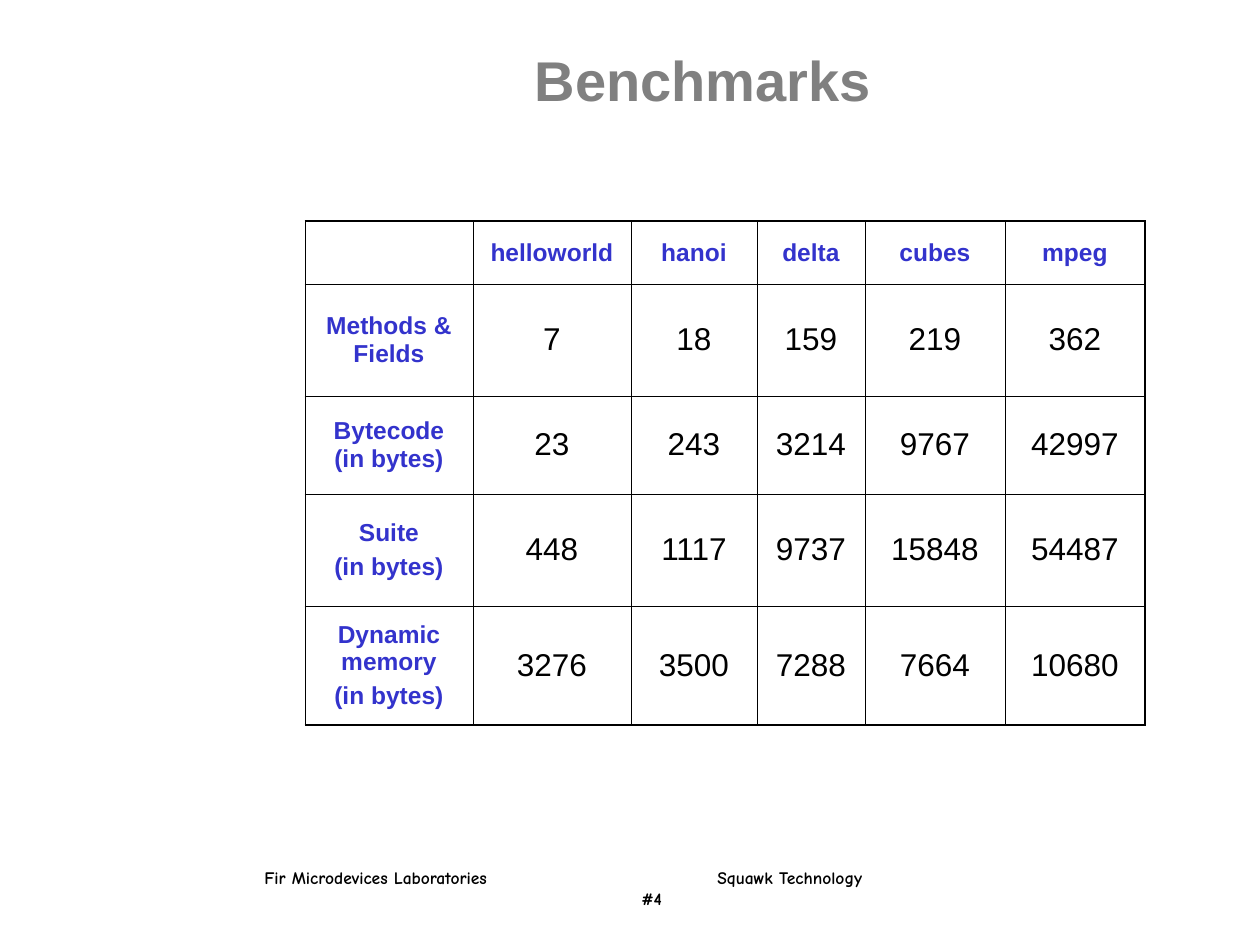
from lxml import etree
from pptx import Presentation
from pptx.dml.color import RGBColor
from pptx.enum.text import MSO_ANCHOR, PP_ALIGN
from pptx.oxml.ns import qn
from pptx.util import Pt

MIDDLE, TOP = MSO_ANCHOR.MIDDLE, MSO_ANCHOR.TOP
CENTER, LEFT = PP_ALIGN.CENTER, PP_ALIGN.LEFT
SCALE = 914400 / 126
THIN, THICK = 0.45, 1.08
TITLE = {"size": Pt(32), "name": "Arial", "bold": True, "color": "808080"}
LABEL = {"size": Pt(14), "name": "Arial", "bold": True, "color": "3333CC"}
VALUE = {"size": Pt(18), "name": "Arial", "bold": False, "color": "000000"}
FOOT = {"size": Pt(10), "name": "Comic Neue", "bold": True, "color": "000000"}
COLS = [168, 158, 126, 108, 140, 140]
ROWS = [63, 112, 98, 112, 119]
DATA = [
    ["", "helloworld", "hanoi", "delta", "cubes", "mpeg"],
    ["Methods & Fields", "7", "18", "159", "219", "362"],
    ["Bytecode (in bytes)", "23", "243", "3214", "9767", "42997"],
    ["Suite\n(in bytes)", "448", "1117", "9737", "15848", "54487"],
    ["Dynamic memory\n(in bytes)", "3276", "3500", "7288", "7664", "10680"],
]


def px(num):
    """Turn pixels into EMU."""
    return round(num * SCALE)


def paint(hue):
    """Turn a hex string into a colour."""
    return RGBColor.from_string(hue)


def style(font, form):
    """Set font attributes from a dict of format values."""
    for key, val in form.items():
        if key == "color":
            font.color.rgb = paint(val)
        else:
            setattr(font, key, val)


def write(frame, text, form, align):
    """Fill a text frame with one paragraph per line of text."""
    frame.text = text
    for num, para in enumerate(frame.paragraphs):
        para.alignment = align
        para.space_before = Pt(3.5 if num and align == CENTER else 0)
        for run in para.runs:
            style(run.font, form)


def set_tab(para, pos):
    """Give a paragraph one left tab stop."""
    tabs = etree.SubElement(para._p.get_or_add_pPr(), qn("a:tabLst"))
    etree.SubElement(tabs, qn("a:tab"), pos=str(px(pos)), algn="l")


def edge(cell, side, width):
    """Draw one black border of a cell."""
    line = etree.SubElement(
        cell._tc.get_or_add_tcPr(), qn(f"a:ln{side}"), w=str(Pt(width)))
    fill = etree.SubElement(line, qn("a:solidFill"))
    etree.SubElement(fill, qn("a:srgbClr"), val="000000")


def add_title(slide, text):
    """Place and format the title."""
    title = slide.shapes.title
    spot = {"left": 220, "top": 21, "width": 966, "height": 116}
    for key, val in spot.items():
        setattr(title, key, px(val))
    title.text_frame.vertical_anchor = MIDDLE
    write(title.text_frame, text, TITLE, CENTER)


def add_grid(slide):
    """Add the benchmark table."""
    grid = slide.shapes.add_table(
        len(ROWS), len(COLS), px(305), px(221), px(sum(COLS)), px(sum(ROWS))).table
    grid.first_row = grid.horz_banding = False
    for col, wide in zip(grid.columns, COLS):
        col.width = px(wide)
    for row, high in zip(grid.rows, ROWS):
        row.height = px(high)
    for i, line in enumerate(DATA):
        for j, text in enumerate(line):
            cell = grid.cell(i, j)
            cell.vertical_anchor = MIDDLE
            form = VALUE if i and j else LABEL
            write(cell.text_frame, text, form, CENTER)
            bold = {"L": False, "R": j == len(COLS) - 1,
                    "T": i == 0, "B": i == len(ROWS) - 1}
            for side, thick in bold.items():
                edge(cell, side, THICK if thick else THIN)
            cell.fill.background()


def add_foot(slide):
    """Add the footer lines, spaced by tab stops."""
    box = slide.shapes.add_textbox(px(252), px(861), px(793), px(55))
    frame = box.text_frame
    frame.word_wrap = True
    frame.vertical_anchor = TOP
    text = "Fir Microdevices Laboratories\tSquawk Technology\n\t#4"
    write(frame, text, FOOT, LEFT)
    for para, pos in zip(frame.paragraphs, (453, 377)):
        set_tab(para, pos)


def main():
    """Build and save the slide."""
    deck = Presentation()
    deck.slide_width, deck.slide_height = px(1260), px(945)
    slide = deck.slides.add_slide(deck.slide_layouts[5])
    add_foot(slide)
    add_title(slide, "Benchmarks")
    add_grid(slide)
    deck.save("out.pptx")


if __name__ == "__main__":
    main()
